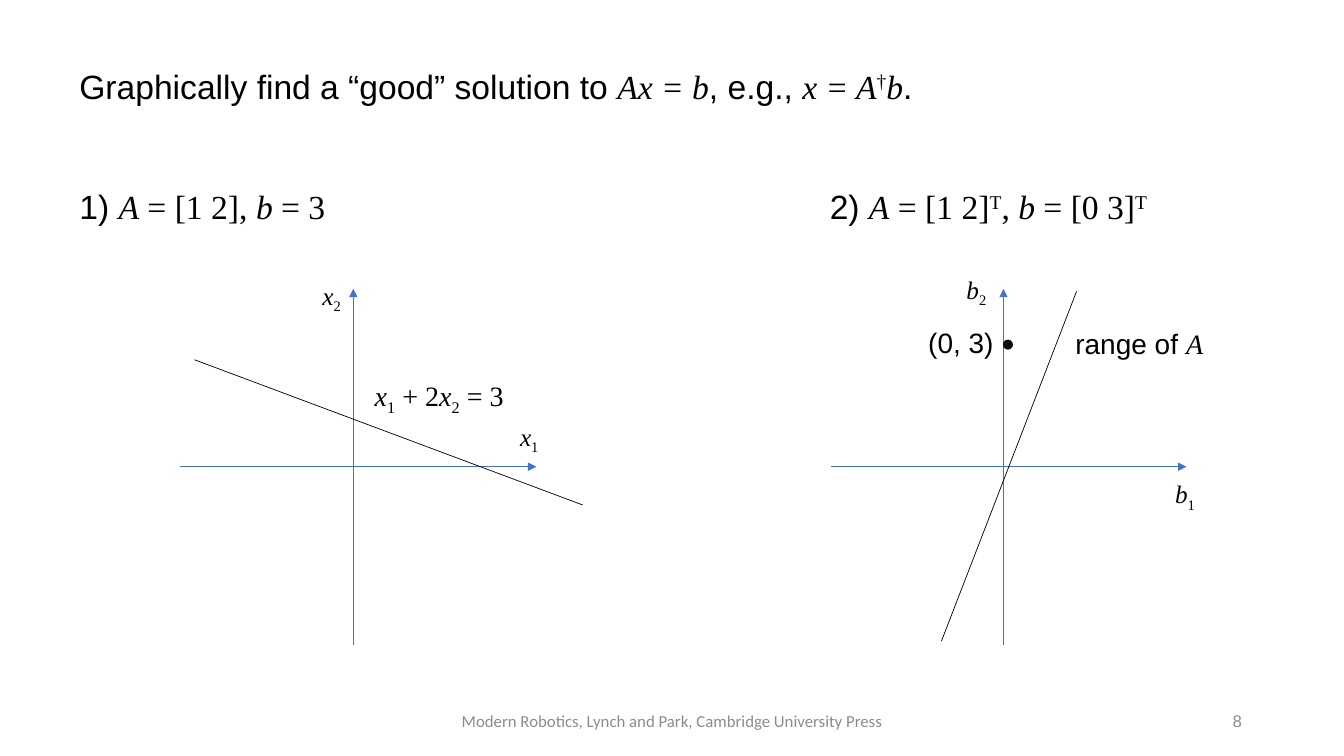
from dataclasses import dataclass

from lxml.etree import SubElement
from pptx import Presentation
from pptx.dml.color import RGBColor
from pptx.enum.shapes import MSO_CONNECTOR, MSO_SHAPE
from pptx.enum.text import MSO_ANCHOR, PP_ALIGN
from pptx.oxml.ns import qn
from pptx.util import Pt


@dataclass(frozen=True)
class Theme:
    ink: RGBColor = RGBColor(0x00, 0x00, 0x00)
    axis: RGBColor = RGBColor(0x44, 0x72, 0xC4)
    muted: RGBColor = RGBColor(0x8C, 0x8C, 0x8C)
    sans: str = "Arial"
    serif: str = "Times New Roman"
    footer_font: str = "Calibri"
    heading: float = 24
    note: float = 20
    axis_name: float = 18
    footer: float = 12
    rule: float = 0.5


THEME = Theme()

STYLES = {
    "plain": (THEME.sans, False, 0),
    "footer": (THEME.footer_font, False, 0),
    "symbol": (THEME.serif, True, 0),
    "math": (THEME.serif, False, 0),
    "super": (THEME.serif, False, 30000),
    "sub": (THEME.serif, False, -25000),
}


def add_text(slide, spans, left, top, width, height, *, size, color=THEME.ink,
             align=PP_ALIGN.LEFT, anchor=MSO_ANCHOR.TOP):
    frame = slide.shapes.add_textbox(Pt(left), Pt(top), Pt(width), Pt(height)).text_frame
    frame.word_wrap = True
    frame.vertical_anchor = anchor
    paragraph = frame.paragraphs[0]
    paragraph.alignment = align
    for words, style in spans:
        run = paragraph.add_run()
        run.text = words
        font = run.font
        font.name, font.italic, baseline = STYLES[style]
        font.size = Pt(size)
        font.color.rgb = color
        if baseline:
            run._r.get_or_add_rPr().set("baseline", str(baseline))


def add_line(slide, start, end, color, arrow=False):
    line = slide.shapes.add_connector(
        MSO_CONNECTOR.STRAIGHT, *(Pt(value) for value in (*start, *end)))
    line.line.color.rgb = color
    line.line.width = Pt(THEME.rule)
    if arrow:
        SubElement(line.line._get_or_add_ln(), qn("a:tailEnd"), type="triangle")
    SubElement(line._element.spPr, qn("a:effectLst"))


def add_point(slide, left, top, diameter):
    point = slide.shapes.add_shape(
        MSO_SHAPE.OVAL, Pt(left), Pt(top), Pt(diameter), Pt(diameter))
    point.shadow.inherit = False
    point.fill.solid()
    point.fill.fore_color.rgb = THEME.ink
    point.line.fill.background()
    tint = point._element.spPr.find(qn("a:solidFill"))[0]
    SubElement(tint, qn("a:alpha"), val="95000")


def draw_title(slide, left, top, width, height):
    add_text(slide, [
        ("Graphically find a “good” solution to ", "plain"),
        ("Ax = b", "symbol"),
        (", e.g., ", "plain"),
        ("x = A", "symbol"),
        ("†", "super"),
        ("b", "symbol"),
        (".", "plain"),
    ], left, top, width, height, size=THEME.heading)


def draw_plot(slide, x, y, axis_names, solution_line):
    add_line(slide, (x - 123.5, y), (x + 130.7, y), THEME.axis, arrow=True)
    add_line(slide, (x, y + 127.1), (x, y - 127.1), THEME.axis, arrow=True)
    for letter, index, dx, dy in axis_names:
        add_text(slide, [(letter, "symbol"), (index, "sub")],
                 x + dx, y + dy, 36, 29, size=THEME.axis_name)
    start, end = ((x + dx, y + dy) for dx, dy in solution_line)
    add_line(slide, start, end, THEME.ink)


def draw_underdetermined(slide, left, top, width, height):
    add_text(slide, [
        ("1) ", "plain"),
        ("A", "symbol"),
        (" = [1 2], ", "math"),
        ("b", "symbol"),
        (" = 3", "math"),
    ], left, top, width, 36, size=THEME.heading)
    x, y = left + 202.8, top + height / 2
    draw_plot(slide, x, y,
              [("x", "1", 112, -36), ("x", "2", -29.2, -136.8)],
              [(-113.4, -76.4), (163.8, 27.3)])
    add_text(slide, [
        ("x", "symbol"),
        ("1", "sub"),
        (" + 2", "math"),
        ("x", "symbol"),
        ("2", "sub"),
        (" = 3", "math"),
    ], x + 8.2, y - 66.3, 120, 32, size=THEME.note)


def draw_overdetermined(slide, left, top, width, height):
    add_text(slide, [
        ("2) ", "plain"),
        ("A", "symbol"),
        (" = [1 2]", "math"),
        ("T", "super"),
        (", ", "math"),
        ("b", "symbol"),
        (" = [0 3]", "math"),
        ("T", "super"),
    ], left, top, width, 36, size=THEME.heading)
    x, y = left + 131.2, top + height / 2
    draw_plot(slide, x, y,
              [("b", "2", -33.5, -141.2), ("b", "1", 115.5, 5)],
              [(-44.3, 124.5), (52.2, -125.3)])
    add_text(slide, [("range of ", "plain"), ("A", "symbol")],
             x + 44.2, y - 103.7, 120, 32, size=THEME.note)
    add_point(slide, x - 0.4, y - 90.8, 7.2)
    add_text(slide, [("(0, 3)", "plain")],
             x - 60.9, y - 104.4, 70, 32, size=THEME.note)


def draw_footer(slide, left, top, width, height):
    add_text(slide,
             [("Modern Robotics, Lynch and Park, Cambridge University Press", "footer")],
             left, top, 324, height, size=THEME.footer, color=THEME.muted,
             align=PP_ALIGN.CENTER, anchor=MSO_ANCHOR.MIDDLE)
    add_text(slide, [("8", "plain")], left + width - 216, top, 216, height,
             size=THEME.footer, color=THEME.muted,
             align=PP_ALIGN.RIGHT, anchor=MSO_ANCHOR.MIDDLE)


def main():
    deck = Presentation()
    deck.slide_width, deck.slide_height = Pt(960), Pt(540)
    slide = deck.slides.add_slide(deck.slide_layouts[6])
    draw_title(slide, 49.6, 43.2, 805, 36)
    draw_underdetermined(slide, 49.6, 129.6, 400, 407.6)
    draw_overdetermined(slide, 585.6, 129.6, 320, 407.6)
    draw_footer(slide, 318.2, 500.4, 576, 28.8)
    deck.save("out.pptx")


if __name__ == "__main__":
    main()
